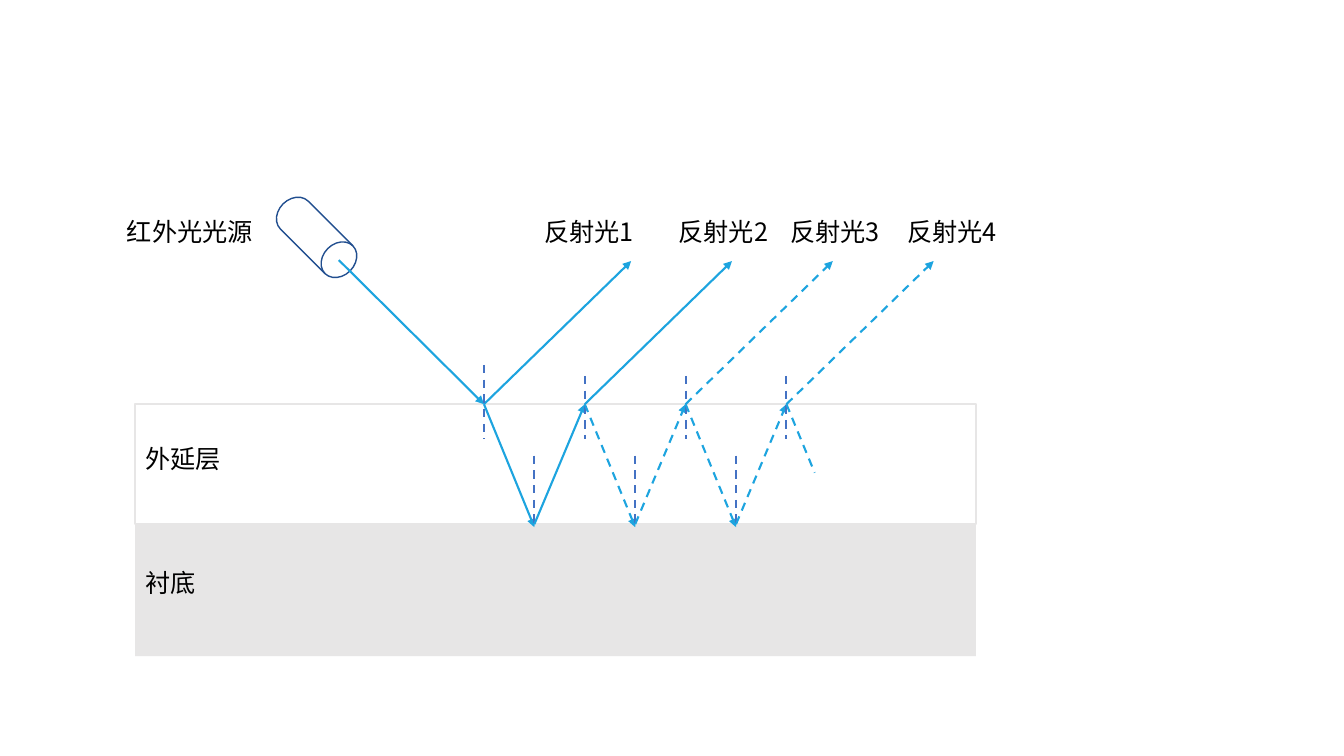
from dataclasses import dataclass

from lxml.etree import SubElement
from pptx import Presentation
from pptx.dml.color import RGBColor as Color
from pptx.enum.dml import MSO_LINE_DASH_STYLE as Dash
from pptx.enum.shapes import MSO_CONNECTOR_TYPE as Connector, MSO_SHAPE as Shape
from pptx.enum.text import MSO_AUTO_SIZE as AutoSize
from pptx.oxml.ns import qn
from pptx.util import Inches, Pt


@dataclass(frozen=True)
class Theme:
    font: str = "Noto Sans CJK SC"
    label_size: int = 18
    text: str = "000000"
    white: str = "FFFFFF"
    grey: str = "E7E6E6"
    outline: str = "214E8F"
    ray: str = "1DA4DF"
    normal: str = "4472C4"
    outline_width: float = 1
    ray_width: float = 1.5


def write_text(text_frame, text, *, font, size, color):
    run = text_frame.paragraphs[0].add_run()
    run.text = text
    run.font.name = font
    run.font.size = Pt(size)
    run.font.color.rgb = Color.from_string(color)
    SubElement(run.font._element, qn("a:ea"), typeface=font)


class Diagram:
    def __init__(self, presentation, theme, columns, rows):
        self.theme = theme
        self.column = presentation.slide_width / columns
        self.row = presentation.slide_height / rows
        self.slide = presentation.slides.add_slide(presentation.slide_layouts[6])

    def place(self, column, row):
        return round(column * self.column), round(row * self.row)

    def block(self, kind, left, top, width, height, fill, line=None, rotation=0):
        shape = self.slide.shapes.add_shape(
            kind, *self.place(left, top), *self.place(width, height))
        shape.shadow.inherit = False
        shape.rotation = rotation
        shape.fill.solid()
        shape.fill.fore_color.rgb = Color.from_string(fill)
        if line:
            shape.line.color.rgb = Color.from_string(line)
            shape.line.width = Pt(self.theme.outline_width)
        else:
            shape.line.fill.background()

    def label(self, text, left, top):
        box = self.slide.shapes.add_textbox(
            *self.place(left, top), *self.place(1.52, 0.4))
        box.text_frame.word_wrap = True
        box.text_frame.auto_size = AutoSize.SHAPE_TO_FIT_TEXT
        write_text(box.text_frame, text, font=self.theme.font,
                   size=self.theme.label_size, color=self.theme.text)

    def line(self, start, end, color, dashed, arrow):
        connector = self.slide.shapes.add_connector(
            Connector.STRAIGHT, *self.place(*start), *self.place(*end))
        connector.line.color.rgb = Color.from_string(color)
        connector.line.width = Pt(self.theme.ray_width)
        if dashed:
            connector.line.dash_style = Dash.DASH
        properties = connector._element.spPr
        if arrow:
            SubElement(properties.find(qn("a:ln")), qn("a:tailEnd"), type="triangle")
        SubElement(properties, qn("a:effectLst"))

    def ray(self, start, end, dashed=False, arrow=True):
        self.line(start, end, self.theme.ray, dashed, arrow)

    def normal(self, column, top, bottom):
        self.line((column, top), (column, bottom), self.theme.normal, True, False)


def main():
    presentation = Presentation()
    presentation.slide_width = Inches(13.33)
    presentation.slide_height = Inches(7.5)
    theme = Theme()
    diagram = Diagram(presentation, theme, columns=13.33, rows=7.5)

    left, width = 1.34, 8.34
    surface, interface, substrate_bottom = 4.01, 5.2, 6.51
    label_row, ray_top = 2.1, 2.59
    first_hit, bounce = 4.8, 0.5

    diagram.block(Shape.RECTANGLE, left, surface, width, interface - surface,
                  theme.white, theme.grey)
    diagram.block(Shape.FLOWCHART_DIRECT_ACCESS_STORAGE, 2.67, 2.16, 0.94, 0.39,
                  theme.white, theme.outline, rotation=45)
    diagram.block(Shape.RECTANGLE, left, interface, width,
                  substrate_bottom - interface, theme.grey)

    diagram.label("红外光光源", 1.16, label_row)
    diagram.label("外延层", left, 4.35)
    diagram.label("衬底", left, 5.58)

    diagram.ray((3.36, 2.58), (first_hit, surface))
    label_columns = (5.3, 6.63, 7.74, 8.9)
    for index, label_column in enumerate(label_columns):
        hit = first_hit + index
        turn = hit + bounce
        weak = index > 0
        diagram.label(f"反射光{index + 1}", label_column, label_row)
        diagram.ray((hit, surface), (hit + 1.46, ray_top), dashed=index > 1)
        diagram.normal(hit, 3.73 if weak else 3.62, 4.36)
        if index < len(label_columns) - 1:
            diagram.ray((hit, surface), (turn, interface + 0.03), dashed=weak)
            diagram.normal(turn, 4.52, interface)
            diagram.ray((turn, interface), (hit + 1, surface), dashed=weak)
        else:
            diagram.ray((hit, surface), (hit + 0.28, 4.69), dashed=True, arrow=False)

    presentation.save("out.pptx")


if __name__ == "__main__":
    main()
